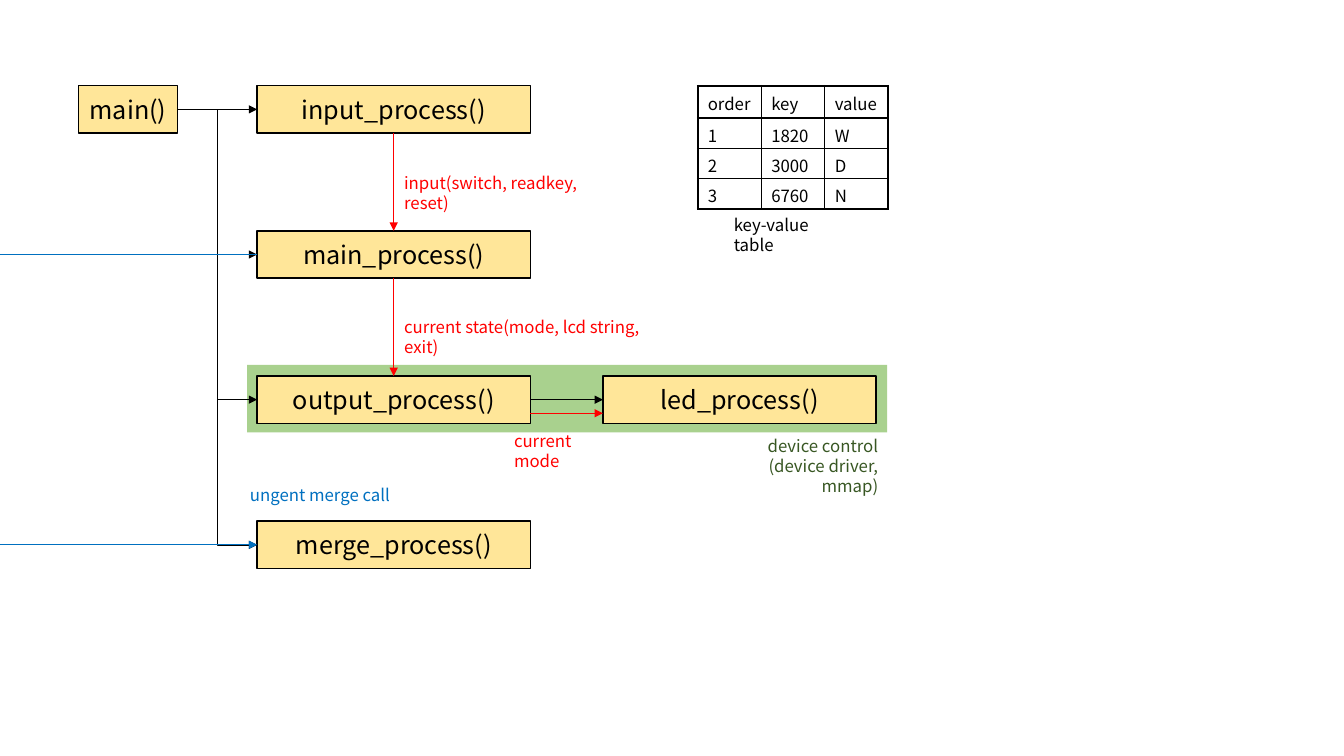
from dataclasses import dataclass

from lxml import etree
from pptx import Presentation
from pptx.dml.color import RGBColor
from pptx.enum.shapes import MSO_CONNECTOR, MSO_SHAPE
from pptx.enum.text import MSO_ANCHOR, MSO_AUTO_SIZE, PP_ALIGN
from pptx.oxml.ns import qn
from pptx.util import Inches, Pt

RECT = MSO_SHAPE.RECTANGLE
STRAIGHT, ELBOW = MSO_CONNECTOR.STRAIGHT, MSO_CONNECTOR.ELBOW
LEFT, CENTER, RIGHT = PP_ALIGN.LEFT, PP_ALIGN.CENTER, PP_ALIGN.RIGHT
MIDDLE, GROW = MSO_ANCHOR.MIDDLE, MSO_AUTO_SIZE.SHAPE_TO_FIT_TEXT
TOP_SIDE, LEFT_SIDE, BASE_SIDE, RIGHT_SIDE = range(4)
FONT = "Noto Sans CJK KR"
COLORS = {"black": "000000", "red": "FF0000", "blue": "0070C0", "moss": "385723",
          "green": "A9D18E", "sand": "FFE699"}

TOP, STEP, TALL, WIDE = 0.85, 1.44, 0.47, 2.71
COL, LED_COL = 2.55, 5.98


@dataclass
class Box:
    name: str
    x: float
    row: int
    width: float = WIDE

    @property
    def y(self) -> float:
        return TOP + STEP * self.row


@dataclass
class Label:
    lines: list[str]
    x: float
    y: float
    width: float
    color: str = "red"
    align: PP_ALIGN = LEFT


@dataclass
class Link:
    start: str
    side: int
    end: str
    goal: int
    kind: MSO_CONNECTOR = STRAIGHT
    color: str = "black"


BOXES = [
    Box("main()", 0.78, 0, 0.98),
    Box("input_process()", COL, 0),
    Box("main_process()", COL, 1),
    Box("output_process()", COL, 2),
    Box("merge_process()", COL, 3),
    Box("led_process()", LED_COL, 2),
]
LINKS = [
    Link("main()", RIGHT_SIDE, "input_process()", LEFT_SIDE),
    Link("main()", RIGHT_SIDE, "main_process()", LEFT_SIDE, ELBOW),
    Link("main()", RIGHT_SIDE, "output_process()", LEFT_SIDE, ELBOW),
    Link("main()", RIGHT_SIDE, "merge_process()", LEFT_SIDE, ELBOW),
    Link("output_process()", RIGHT_SIDE, "led_process()", LEFT_SIDE),
    Link("input_process()", BASE_SIDE, "main_process()", TOP_SIDE, color="red"),
    Link("main_process()", BASE_SIDE, "output_process()", TOP_SIDE, color="red"),
]
MERGE_CALL = {"main_process()": False, "merge_process()": True}
LABELS = [
    Label(["input(switch, readkey, reset)"], 3.91, 1.66, 2.32),
    Label(["current state(mode, lcd string, exit)"], 3.91, 3.09, 2.88),
    Label(["current mode"], 5, 4.22, 1.24),
    Label(["ungent merge call"], 2.38, 4.76, 1.62, "blue"),
    Label(["device control", "(device driver, mmap)"], 7.01, 4.27, 1.8, "moss", RIGHT),
    Label(["key-value table"], 7.18, 2.08, 1.36, "black"),
]
CELLS = [["order", "key", "value"], ["1", "1820", "W"], ["2", "3000", "D"], ["3", "6760", "N"]]


def tint(name: str) -> RGBColor:
    return RGBColor.from_string(COLORS[name])


def write(frame, lines: list[str], size: float, color: str, align: PP_ALIGN) -> None:
    for i, line in enumerate(lines):
        para = frame.paragraphs[0] if i == 0 else frame.add_paragraph()
        para.alignment = align
        run = para.add_run()
        run.text = line
        for key, value in {"size": Pt(size), "name": FONT}.items():
            setattr(run.font, key, value)
        run.font.color.rgb = tint(color)


def add_rect(slide, x: float, y: float, width: float, height: float, fill: str):
    rect = slide.shapes.add_shape(RECT, Inches(x), Inches(y), Inches(width), Inches(height))
    rect.shadow.inherit = False
    rect.fill.solid()
    rect.fill.fore_color.rgb = tint(fill)
    rect.line.fill.background()
    return rect


def add_box(slide, box: Box):
    rect = add_rect(slide, box.x, box.y, box.width, TALL, "sand")
    rect.line.color.rgb = tint("black")
    rect.line.width = Pt(1)
    rect.text_frame.vertical_anchor = MIDDLE
    write(rect.text_frame, [box.name], 18, "black", CENTER)
    return rect


def add_label(slide, label: Label) -> None:
    text = slide.shapes.add_textbox(Inches(label.x), Inches(label.y),
                                    Inches(label.width), Inches(0.3))
    for key, value in {"word_wrap": True, "auto_size": GROW}.items():
        setattr(text.text_frame, key, value)
    write(text.text_frame, label.lines, 12, label.color, label.align)


def add_line(slide, kind: MSO_CONNECTOR, color: str, x1: float = 0, y1: float = 0,
             x2: float = 0, y2: float = 0, tip: bool = True):
    line = slide.shapes.add_connector(kind, Inches(x1), Inches(y1), Inches(x2), Inches(y2))
    line.line.color.rgb = tint(color)
    line.line.width = Pt(1)
    if tip:
        etree.SubElement(line.line._get_or_add_ln(), qn("a:tailEnd"), type="triangle")
    etree.SubElement(line._element.spPr, qn("a:effectLst"))
    return line


def add_link(slide, link: Link, rects: dict) -> None:
    line = add_line(slide, link.kind, link.color)
    line.begin_connect(rects[link.start], link.side)
    line.end_connect(rects[link.end], link.goal)


def add_call(slide, box: Box, rect, tip: bool) -> None:
    """Run a blue line from the slide's left edge to the box."""
    mid = box.y + TALL / 2
    line = add_line(slide, STRAIGHT, "blue", 0, mid, box.x, mid, tip)
    line.end_connect(rect, LEFT_SIDE)


def add_edge(cell, side: str, width: float) -> None:
    edge = etree.SubElement(cell._tc.get_or_add_tcPr(), qn(f"a:ln{side}"), w=str(Pt(width)))
    fill = etree.SubElement(edge, qn("a:solidFill"))
    etree.SubElement(fill, qn("a:srgbClr"), val=COLORS["black"])


def add_grid(slide) -> None:
    rows, cols = len(CELLS), len(CELLS[0])
    grid = slide.shapes.add_table(rows, cols, Inches(6.92), Inches(TOP),
                                  Inches(1.89), Inches(1.22)).table
    for key, value in {"first_row": False, "horz_banding": False}.items():
        setattr(grid, key, value)
    for col in grid.columns:
        col.width = Inches(0.63)
    for r, words in enumerate(CELLS):
        grid.rows[r].height = Inches(0.32 if r == 0 else 0.3)
        for c, word in enumerate(words):
            cell = grid.cell(r, c)
            cell.vertical_anchor = MIDDLE
            write(cell.text_frame, [word], 12, "black", LEFT)
            thick = {"L": c == 0, "R": c == cols - 1, "T": r < 2, "B": r in (0, rows - 1)}
            for side, bold in thick.items():
                add_edge(cell, side, 1.5 if bold else 1)
            cell.fill.background()


def main() -> None:
    deck = Presentation()
    deck.slide_width, deck.slide_height = Inches(13.33), Inches(7.5)
    slide = deck.slides.add_slide(deck.slide_layouts[6])
    add_rect(slide, 2.45, 3.62, 6.35, 0.67, "green")
    rects = {box.name: add_box(slide, box) for box in BOXES}
    for link in LINKS:
        add_link(slide, link, rects)
    for box in BOXES:
        if box.name in MERGE_CALL:
            add_call(slide, box, rects[box.name], MERGE_CALL[box.name])
    add_line(slide, STRAIGHT, "red", COL + WIDE, 4.1, LED_COL, 4.1)
    for label in LABELS:
        add_label(slide, label)
    add_grid(slide)
    deck.save("out.pptx")


if __name__ == "__main__":
    main()
